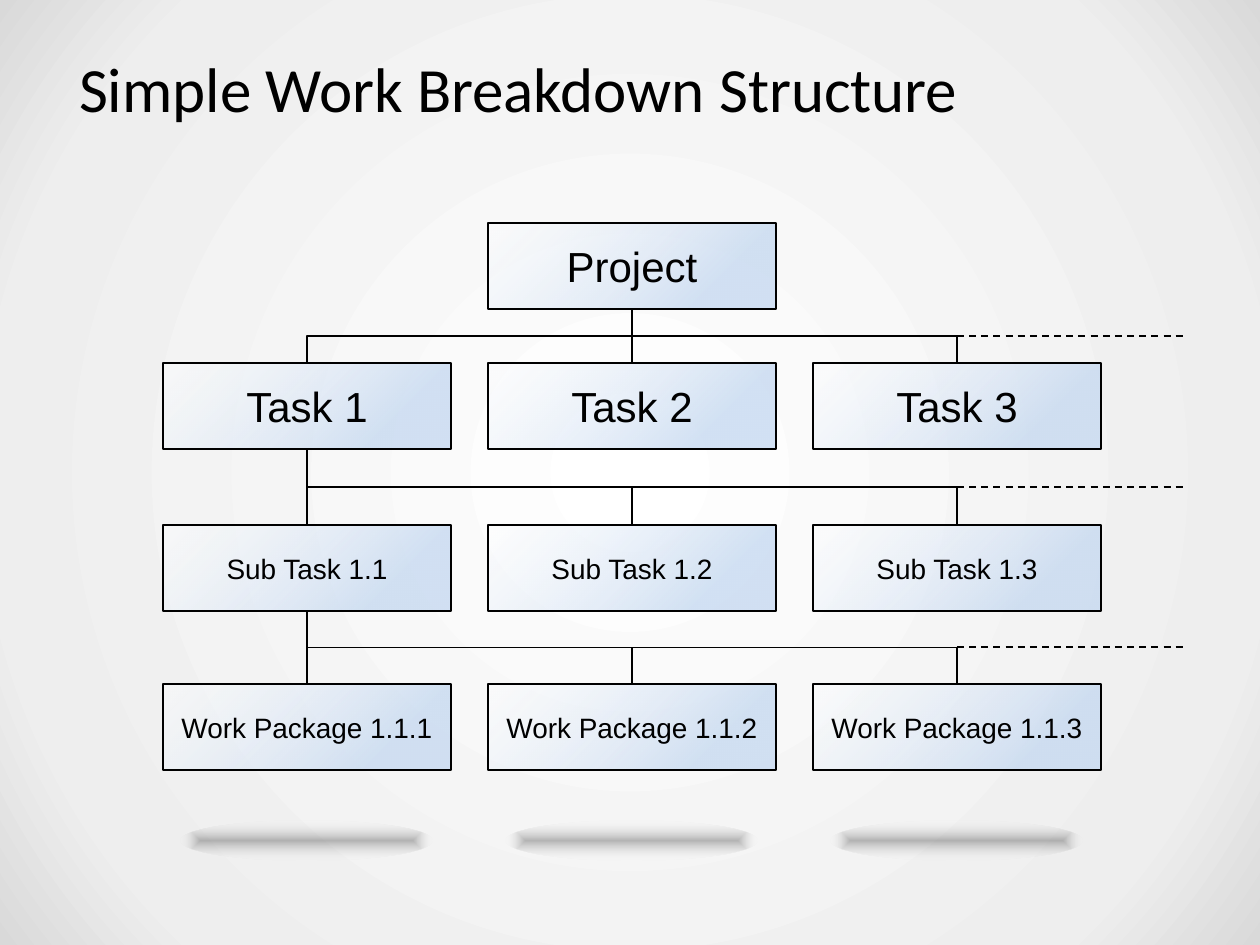
"""Builds a slide with a simple work breakdown structure."""
from pptx import Presentation
from pptx.dml.color import RGBColor
from pptx.enum.dml import MSO_LINE
from pptx.enum.shapes import MSO_CONNECTOR, MSO_SHAPE
from pptx.enum.text import MSO_ANCHOR, PP_ALIGN
from pptx.oxml import parse_xml
from pptx.oxml.ns import nsdecls, qn
from pptx.util import Pt

RECTANGLE, OVAL = MSO_SHAPE.RECTANGLE, MSO_SHAPE.OVAL
STRAIGHT, ELBOW = MSO_CONNECTOR.STRAIGHT, MSO_CONNECTOR.ELBOW
DASH = MSO_LINE.DASH
MIDDLE = MSO_ANCHOR.MIDDLE
LEFT, CENTER = PP_ALIGN.LEFT, PP_ALIGN.CENTER
TOP_SIDE, BOTTOM_SIDE = 0, 2

PX = 914400 // 126
SLIDE_SIZE = (1260, 945)
BOX_WIDTH, BOX_HEIGHT = 288, 86
COLUMN_LEFT, COLUMN_PITCH = 163, 325
PROJECT_TOP = 223
DASH_END = 1184
ROWS = [
    (363, 24, ["Task 1", "Task 2", "Task 3"]),
    (525, 16, ["Sub Task 1.1", "Sub Task 1.2", "Sub Task 1.3"]),
    (684, 16, ["Work Package 1.1.1", "Work Package 1.1.2", "Work Package 1.1.3"]),
]
CENTERED = ('<a:path path="{}"><a:fillToRect l="50000" t="50000" r="50000" b="50000"/>'
            '</a:path>')
DIAGONAL = '<a:lin ang="2700000" scaled="0"/>'


def color(hex_string):
    return RGBColor.from_string(hex_string)


class SlideBuilder:
    """Holds the style and the current slide."""

    ink = "000000"
    title_font, body_font = "Calibri", "Arial"
    background_stops = [(0, "FFFFFF", 100), (81, "EEEEEE", 100), (100, "D9D9D9", 100)]
    box_stops = [(0, "FFFFFF", 46), (77, "C6D9F1", 77)]
    shadow_stops = [(0, "0D0D0D", 28), (100, "FFFFFF", 0)]

    def __init__(self, slide):
        self.slide = slide

    def gradient(self, fill, parent, stops, direction):
        fill.solid()
        stop_xml = "".join(
            f'<a:gs pos="{position * 1000}"><a:srgbClr val="{value}">'
            f'<a:alpha val="{opacity * 1000}"/></a:srgbClr></a:gs>'
            for position, value, opacity in stops)
        gradient = parse_xml(
            f'<a:gradFill {nsdecls("a")} rotWithShape="1"><a:gsLst>{stop_xml}</a:gsLst>'
            f'{direction}</a:gradFill>')
        parent.replace(parent.find(qn("a:solidFill")), gradient)

    def background(self):
        fill = self.slide.background.fill
        fill.solid()
        properties = self.slide._element.find(".//" + qn("p:bgPr"))
        self.gradient(fill, properties, self.background_stops, CENTERED.format("circle"))

    def text(self, text_frame, text, size, font, alignment):
        text_frame.text = text
        text_frame.word_wrap = True
        text_frame.vertical_anchor = MIDDLE
        paragraph = text_frame.paragraphs[0]
        paragraph.alignment = alignment
        for run in paragraph.runs:
            run.font.size = Pt(size)
            run.font.name = font
            run.font.color.rgb = color(self.ink)

    def title(self, text, left, top, width, height):
        shape = self.slide.shapes.title
        shape.left, shape.top = left * PX, top * PX
        shape.width, shape.height = width * PX, height * PX
        text_frame = shape.text_frame
        text_frame.margin_left = text_frame.margin_right = 16 * PX
        text_frame.margin_top = text_frame.margin_bottom = 9 * PX
        self.text(text_frame, text, 36, self.title_font, LEFT)

    def shape(self, kind, left, top, width, height, stops, direction):
        shape = self.slide.shapes.add_shape(
            kind, left * PX, top * PX, width * PX, height * PX)
        shape.shadow.inherit = False
        self.gradient(shape.fill, shape._element.spPr, stops, direction)
        return shape

    def box(self, text, left, top, size):
        shape = self.shape(RECTANGLE, left, top, BOX_WIDTH, BOX_HEIGHT,
                           self.box_stops, DIAGONAL)
        shape.line.color.rgb = color(self.ink)
        shape.line.width = Pt(1.5)
        self.text(shape.text_frame, text, size, self.body_font, CENTER)
        return shape

    def floor_shadow(self, left, top, width, height):
        shape = self.shape(OVAL, left, top, width, height,
                           self.shadow_stops, CENTERED.format("shape"))
        shape.line.fill.background()

    def line(self, kind, left, top, right, bottom):
        connector = self.slide.shapes.add_connector(
            kind, left * PX, top * PX, right * PX, bottom * PX)
        connector.line.color.rgb = color(self.ink)
        connector.line.width = Pt(1)
        connector._element.spPr.append(parse_xml(f'<a:effectLst {nsdecls("a")}/>'))
        return connector

    def dashed_line(self, left, right, y):
        self.line(STRAIGHT, left, y, right, y).line.dash_style = DASH

    def branch(self, parent, child):
        across, start = child.left - parent.left, parent.top + parent.height
        down = child.top - start
        connector = self.line(ELBOW if across else STRAIGHT, 0, 0, 0, 0)
        connector.begin_connect(parent, BOTTOM_SIDE)
        connector.end_connect(child, TOP_SIDE)
        if across:
            middle = parent.left + (parent.width + across) // 2
            connector.left = middle - down // 2
            connector.top = start + (down - abs(across)) // 2
            connector.width, connector.height = down, abs(across)
            transform = connector._element.spPr.find(qn("a:xfrm"))
            transform.set("rot", str((270 if across > 0 else 90) * 60000))
            transform.set("flipH", "1" if across > 0 else "0")
            transform.set("flipV", "0")


def main():
    presentation = Presentation()
    presentation.slide_width, presentation.slide_height = (side * PX for side in SLIDE_SIZE)
    builder = SlideBuilder(presentation.slides.add_slide(presentation.slide_layouts[5]))
    builder.background()
    builder.title("Simple Work Breakdown Structure", 63, 38, 1134, 98)

    columns = [COLUMN_LEFT + COLUMN_PITCH * index for index in range(3)]
    last_center = columns[-1] + BOX_WIDTH // 2
    parent = builder.box("Project", columns[1], PROJECT_TOP, 24)
    parent_top = PROJECT_TOP
    for top, size, labels in ROWS:
        boxes = [builder.box(label, left, top, size) for label, left in zip(labels, columns)]
        for box in boxes:
            builder.branch(parent, box)
        builder.dashed_line(last_center, DASH_END, (parent_top + BOX_HEIGHT + top) // 2)
        parent, parent_top = boxes[0], top

    for left in columns:
        builder.floor_shadow(left + 18, 821, 251, 40)
    presentation.save("out.pptx")


if __name__ == "__main__":
    main()
